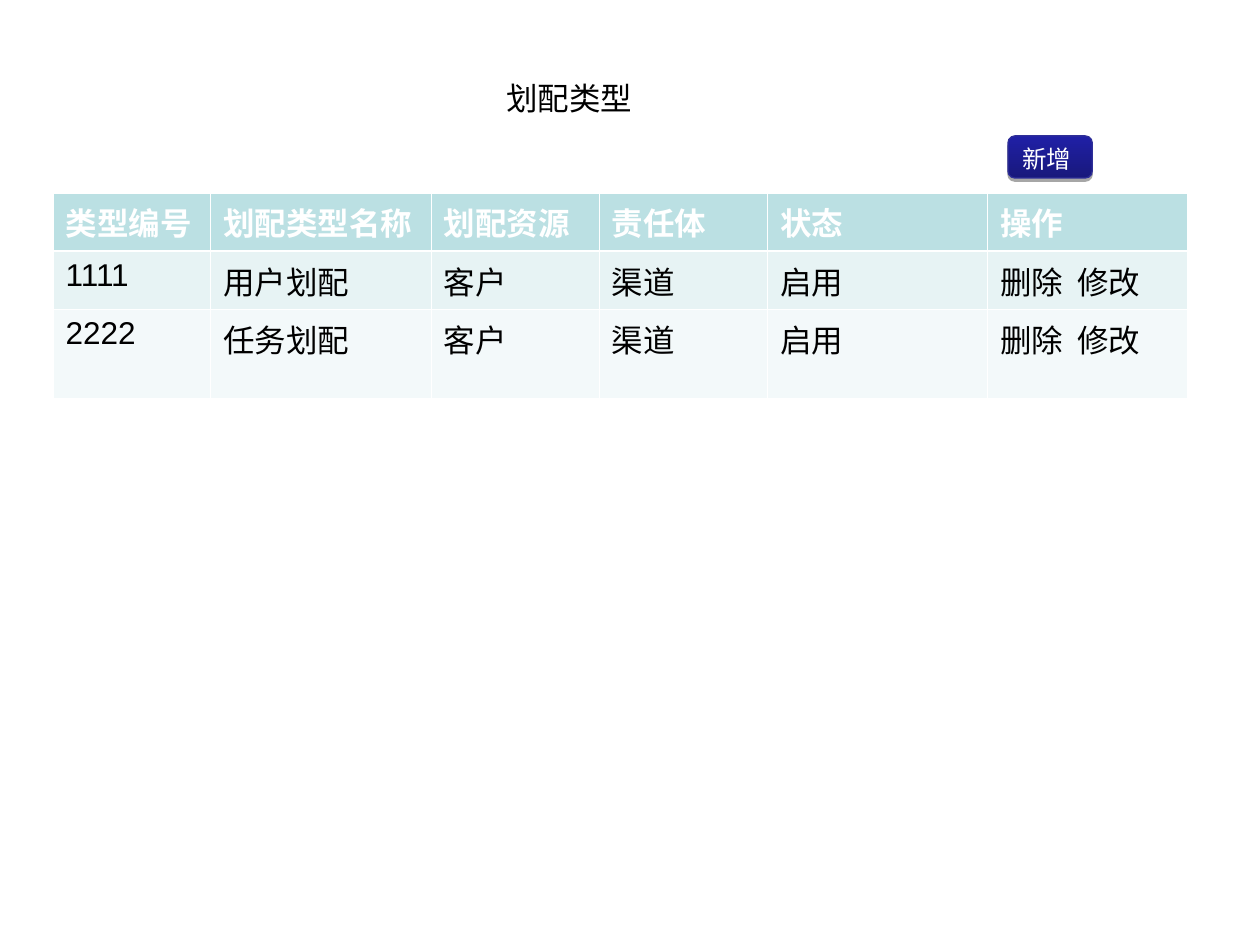
from dataclasses import dataclass

from lxml import etree
from pptx import Presentation
from pptx import util as u
from pptx.dml.color import RGBColor
from pptx.enum import shapes, text
from pptx.oxml import ns


@dataclass(frozen=True)
class Theme:
    """Colours, fonts and sizes in points."""
    font: str = "Arial"
    body: float = 18
    button: float = 14
    black: str = "000000"
    white: str = "FFFFFF"
    rows: tuple = ("BBE0E3", "E7F3F4", "F3F9FA")
    gradient: tuple = ("18187C", "2020A6")
    outline: str = "2F2F98"
    thin: float = 0.45
    thick: float = 1.47


THEME = Theme()
ACTIONS = "删除\t修改"
ROWS = [
    ["类型编号", "划配类型名称", "划配资源", "责任体", "状态", "操作"],
    ["1111", "用户划配", "客户", "渠道", "启用", ACTIONS],
    ["2222", "任务划配", "客户", "渠道", "启用", ACTIONS],
]
COLUMN_WIDTHS = [3.18, 4.44, 3.39, 3.39, 4.44, 4.02]
ROW_HEIGHTS = [1.02, 1.02, 1.79]
ACTION_TAB = 1.55


def sub(parent, tag, **attrs):
    """Append a DrawingML element."""
    return etree.SubElement(parent, ns.qn(tag), {k: str(v) for k, v in attrs.items()})


def add_run(p, content, size, color, bold=False):
    """Add one styled run to a paragraph."""
    r = p.add_run()
    r.text = content
    r.font.name, r.font.size, r.font.bold = THEME.font, u.Pt(size), bold
    r.font.color.rgb = RGBColor.from_string(color)


def add_title(s, content, box):
    """Add the unwrapped title text."""
    tf = s.shapes.add_textbox(*map(u.Cm, box)).text_frame
    tf.word_wrap = False
    tf.auto_size = text.MSO_AUTO_SIZE.SHAPE_TO_FIT_TEXT
    add_run(tf.paragraphs[0], content, THEME.body, THEME.black)


def add_button(s, content, box):
    """Add a rounded gradient button with a drop shadow."""
    sp = s.shapes.add_shape(shapes.MSO_SHAPE.ROUNDED_RECTANGLE, *map(u.Cm, box))
    sp.fill.gradient()
    sp.fill.gradient_angle = 90
    for stop, color in zip(sp.fill.gradient_stops, THEME.gradient):
        stop.color.rgb = RGBColor.from_string(color)
    sp.line.color.rgb = RGBColor.from_string(THEME.outline)
    sp.line.width = u.Pt(0.75)
    sp.shadow.inherit = False
    effects = sp._element.spPr.find(ns.qn("a:effectLst"))
    shadow = sub(effects, "a:outerShdw", blurRad=0, dist=u.Pt(1.8), dir=5400000, rotWithShape=0)
    sub(sub(shadow, "a:srgbClr", val=THEME.black), "a:alpha", val=35000)
    tf = sp.text_frame
    tf.vertical_anchor = text.MSO_ANCHOR.TOP
    p = tf.paragraphs[0]
    p.alignment = text.PP_ALIGN.LEFT
    add_run(p, content, THEME.button, THEME.white)


def set_borders(cell, top, bottom):
    """Draw white borders, thin at the sides."""
    tc_pr = cell._tc.get_or_add_tcPr()
    for side, width in zip("LRTB", (THEME.thin, THEME.thin, top, bottom)):
        ln = sub(tc_pr, f"a:ln{side}", w=u.Pt(width))
        sub(sub(ln, "a:solidFill"), "a:srgbClr", val=THEME.white)


def fill_cell(cell, content, row):
    """Style one cell by its row and write its text."""
    header = row == 0
    set_borders(cell, THEME.thick if row == 1 else THEME.thin,
                THEME.thick if header else THEME.thin)
    cell.fill.solid()
    cell.fill.fore_color.rgb = RGBColor.from_string(THEME.rows[row])
    p = cell.text_frame.paragraphs[0]
    if "\t" in content:
        tabs = sub(p._p.get_or_add_pPr(), "a:tabLst")
        sub(tabs, "a:tab", pos=u.Cm(ACTION_TAB), algn="l")
    add_run(p, content, THEME.body, THEME.white if header else THEME.black, header)


def add_type_table(s, left, top):
    """Add the table of allocation types."""
    size = sum(COLUMN_WIDTHS), sum(ROW_HEIGHTS)
    table = s.shapes.add_table(len(ROWS), len(COLUMN_WIDTHS),
                               *map(u.Cm, (left, top, *size))).table
    for column, width in zip(table.columns, COLUMN_WIDTHS):
        column.width = u.Cm(width)
    for i, (row, height) in enumerate(zip(table.rows, ROW_HEIGHTS)):
        row.height = u.Cm(height)
        for cell, content in zip(row.cells, ROWS[i]):
            fill_cell(cell, content, i)


def main():
    """Build and save the slide."""
    prs = Presentation()
    prs.slide_width, prs.slide_height = u.Cm(25.4), u.Cm(19.05)
    s = prs.slides.add_slide(prs.slide_layouts[6])
    add_type_table(s, 1.07, 3.89)
    add_title(s, "划配类型", (9.96, 1.47, 3.05, 1.02))
    add_button(s, "新增", (20.32, 2.74, 1.7, 0.85))
    prs.save("out.pptx")


if __name__ == "__main__":
    main()
